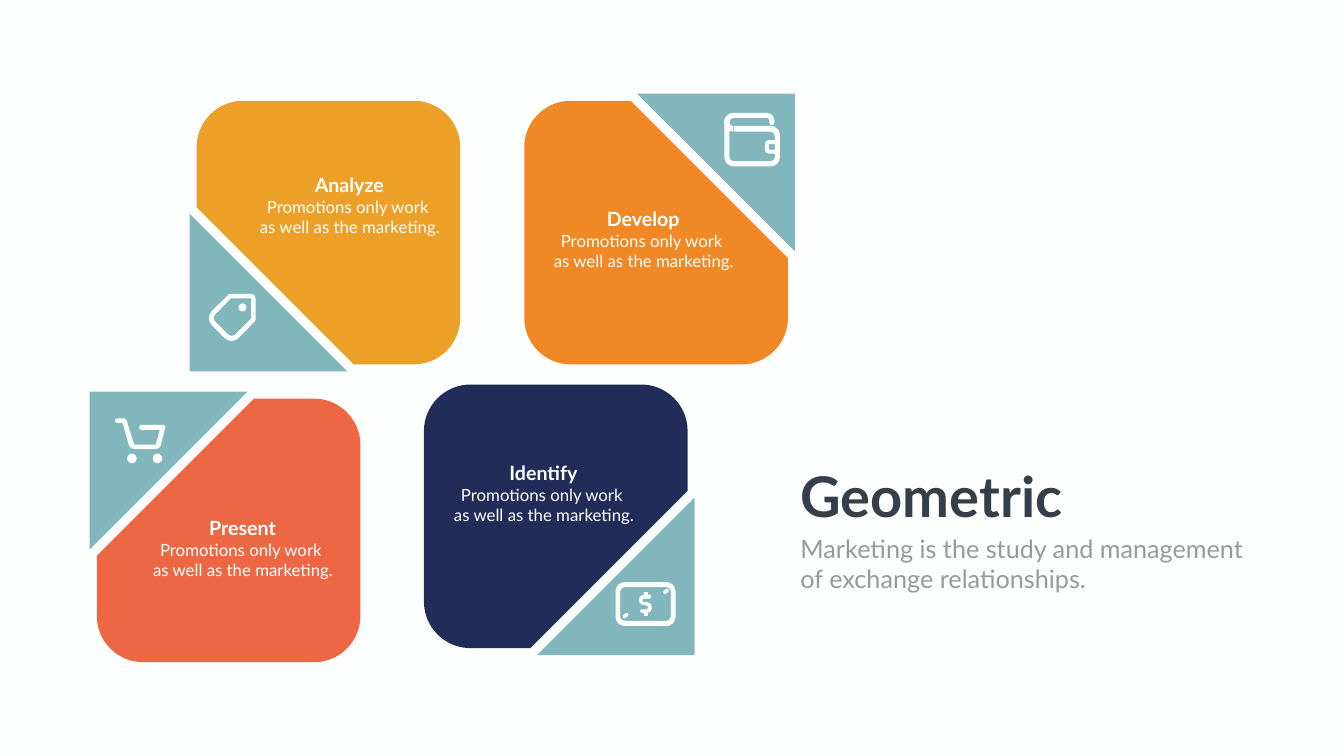
"""Build the Geometric slide: four cut tiles with corner icons, on a grid of 2666 by 1500 cells."""
from dataclasses import dataclass
from math import hypot

from lxml.etree import SubElement
from pptx import Presentation
from pptx.dml.color import RGBColor
from pptx.enum.shapes import MSO_SHAPE
from pptx.enum.text import MSO_AUTO_SIZE, PP_ALIGN
from pptx.oxml.ns import qn
from pptx.util import Inches, Pt

COLS, ROWS = 2666, 1500
CELL = Inches(0.01)
SIDE, RADIUS, CUT, LEG, OVERHANG = 523, 92, 312, 313, 14
BODY = ["Promotions only work ", "as well as the marketing."]


@dataclass(frozen=True)
class Theme:
    font: str = "Lato"
    paper: str = "FDFFFE"
    corner: str = "81B7BC"
    analyze: str = "EDA027"
    develop: str = "EF8825"
    present: str = "ED6744"
    identify: str = "212C58"
    heading: str = "353E49"
    muted: str = "989998"
    heading_size: int = 80
    lead_size: int = 36
    title_size: int = 28
    body_size: int = 24


THEME = Theme()

FLECK = [(93, 19, 2.5), (103, 12, 2.5), (107, 18, 2.5), (97, 25, 2.5)]


def box(x, y, w, h, r=0):
    """Return the contour of a rectangle with rounded corners."""
    return [(x, y, r), (x + w, y, r), (x + w, y + h, r), (x, y + h, r)]


def shifted(contour, dx, dy):
    """Return a contour moved by some columns and rows."""
    return [(x + dx, y + dy, r) for x, y, r in contour]


def toward(a, b, length):
    """Return the point that lies a length from a on the way to b, in EMU."""
    share = length / hypot(b[0] - a[0], b[1] - a[1])
    return tuple(round((a[i] + (b[i] - a[i]) * share) * CELL) for i in (0, 1))


def eased(contour):
    """Return for each corner its start, two handles and end, in EMU."""
    corners = []
    for i, corner in enumerate(contour):
        before, after, r = contour[i - 1], contour[(i + 1) % len(contour)], corner[2]
        corners.append((toward(corner, before, r), toward(corner, before, r * 0.45),
                        toward(corner, after, r * 0.45), toward(corner, after, r)))
    return corners


def extent(corners):
    """Return the starts, middles and ends of the corners, which span the outline."""
    return [point for a, c, d, b in corners
            for point in (a, tuple(round((a[i] + 3 * c[i] + 3 * d[i] + b[i]) / 8)
                                   for i in (0, 1)), b)]


def paint(sp, color):
    """Give a shape a plain fill without line or shadow."""
    sp.shadow.inherit = False
    sp.fill.solid()
    sp.fill.fore_color.rgb = RGBColor.from_string(color)
    sp.line.fill.background()


def add_outline(s, contours, color):
    """Add one freeform with curved corners; any contour after the first is a hole."""
    loops = [eased(contour) for contour in contours]
    points = extent(loops[0])
    builder = s.shapes.build_freeform(*points[0], scale=1.0)
    builder.add_line_segments(points[1:], close=True)
    sp = builder.convert_to_shape()
    figure = next(sp._element.iter(qn("a:path")))

    def draw(tag, *targets):
        segment = SubElement(figure, qn(tag))
        for x, y in targets:
            SubElement(segment, qn("a:pt"), x=str(x - sp.left), y=str(y - sp.top))

    for child in list(figure):
        figure.remove(child)
    for loop in loops:
        for i, (a, c, d, b) in enumerate(loop):
            draw("a:lnTo" if i else "a:moveTo", a)
            if a != b:
                draw("a:cubicBezTo", c, d, b)
        draw("a:close")
    paint(sp, color)


def add_preset(s, kind, x, y, w, h):
    """Add a light preset shape as a detail of an icon."""
    paint(s.shapes.add_shape(kind, *(round(v * CELL) for v in (x, y, w, h))), THEME.paper)


def add_text(s, x, y, w, h, lines, size, color, bold=False, align=PP_ALIGN.CENTER, wrap=True):
    """Add a text box with one paragraph a line."""
    tf = s.shapes.add_textbox(*(round(v * CELL) for v in (x, y, w, h))).text_frame
    tf.word_wrap = wrap
    tf.auto_size = MSO_AUTO_SIZE.SHAPE_TO_FIT_TEXT
    for i, line in enumerate(lines):
        p = tf.add_paragraph() if i else tf.paragraphs[0]
        p.alignment = align
        r = p.add_run()
        r.text = line
        r.font.name, r.font.size, r.font.bold = THEME.font, Pt(size), bold
        r.font.color.rgb = RGBColor.from_string(color)


def add_tile(s, x, y, right, bottom, color):
    """Add a rounded tile cut at one corner, and the triangle beside the cut."""
    def place(contour):
        return [(x + (SIDE - u if right else u), y + (SIDE - v if bottom else v), r)
                for u, v, r in contour]

    tile = [(CUT, 0, 0), (SIDE, 0, RADIUS), (SIDE, SIDE, RADIUS), (0, SIDE, RADIUS), (0, CUT, 0)]
    start, end = -OVERHANG, LEG - OVERHANG
    add_outline(s, [place(tile)], color)
    add_outline(s, [place([(start, start, 0), (end, start, 0), (start, end, 0)])], THEME.corner)


def add_caption(s, title, center, top):
    """Add a tile's title and the body under it."""
    add_text(s, center - 120, top, 240, 57, [title], THEME.title_size, THEME.paper, bold=True)
    add_text(s, center - 212, top + 47.3, 426, 91, BODY, THEME.body_size, THEME.paper)


def add_icon(s, x, y, outlines, details=()):
    """Add an icon from light outlines and preset details."""
    for contours in outlines:
        add_outline(s, [shifted(contour, x, y) for contour in contours], THEME.paper)
    for kind, dx, dy, w, h in details:
        add_preset(s, kind, x + dx, y + dy, w, h)


def add_cart(s, x, y):
    """Add the shopping cart."""
    frame = [(0, 0, 4.5), (22, 0, 4), (38, 52, 0), (81, 52, 0), (89, 23, 0), (48, 23, 5),
             (48, 13, 5), (101, 13, 5), (89, 61, 8), (30, 61, 8), (15, 9, 0), (0, 9, 4.5)]
    add_icon(s, x, y, [[frame]], [(MSO_SHAPE.OVAL, dx, 70, 19, 19) for dx in (24, 75)])


def add_tag(s, x, y):
    """Add the price tag."""
    rim = [(42, 0, 2), (94, 0, 9), (94, 53, 2), (46.5, 101.5, 19), (-7, 48, 20)]
    hole = [(45, 9, 0), (85, 9, 0), (85, 49, 0), (46.5, 87.5, 9), (7, 48, 8.5)]
    add_icon(s, x, y, [[rim, hole]], [(MSO_SHAPE.OVAL, 60, 19, 16, 16)])


def add_banknote(s, x, y):
    """Add the banknote with its dollar sign."""
    dollar = [(48, 61, 3.5), (48, 54, 3.5), (64, 54, 2), (64, 46, 2), (46, 46, 10), (46, 25, 10),
              (71, 25, 4), (71, 33, 4), (54, 33, 2), (54, 40, 2), (72, 40, 9), (72, 61, 9)]
    note = [box(0, 0, 119, 87, 18), box(9, 10, 101, 67, 9)]
    bars = [(MSO_SHAPE.RECTANGLE, 56, dy, 8, 8) for dy in (20, 59)]
    add_icon(s, x, y, [note, [dollar]], bars)
    add_icon(s, x, y, [[FLECK], [shifted(FLECK, -80, 48)]])


def add_wallet(s, x, y):
    """Add the wallet."""
    clasp = [box(80, 54, 28, 27, 8), box(88, 62, 13, 11)]
    body = [(0, 19, 0), (10, 19, 0), (10, 96, 8), (100, 96, 8), (100, 37, 9), (19, 37, 0),
            (19, 26, 0), (110, 26, 18), (110, 106, 18), (0, 106, 18)]
    flap = [(18, 37, 0), (-1, 37, 18), (-1, 0, 19), (99, 0, 15), (99, 24, 5), (89, 24, 5),
            (89, 10, 5), (10, 10, 8), (10, 27, 8), (18, 27, 0)]
    add_icon(s, x, y, [clasp, [body], [flap]])


def main():
    """Build and save the slide."""
    prs = Presentation()
    prs.slide_width, prs.slide_height = COLS * CELL, ROWS * CELL
    s = prs.slides.add_slide(prs.slide_layouts[6])
    s.background.fill.solid()
    s.background.fill.fore_color.rgb = RGBColor.from_string(THEME.paper)

    for tile in [(192, 791, False, False, THEME.present), (390, 200, False, True, THEME.analyze),
                 (841, 763, True, True, THEME.identify), (1040, 200, True, False, THEME.develop)]:
        add_tile(s, *tile)
    for icon, x, y in [(add_cart, 228, 830), (add_tag, 413, 583),
                       (add_banknote, 1221, 1155), (add_wallet, 1437, 224)]:
        icon(s, x, y)
    for caption in [("Analyze", 693, 337.4), ("Develop", 1276, 406),
                    ("Identify", 1078, 910), ("Present", 481, 1018)]:
        add_caption(s, *caption)

    add_text(s, 1578, 911, 549, 145, ["Geometric"], THEME.heading_size, THEME.heading,
             bold=True, align=PP_ALIGN.LEFT, wrap=False)
    add_text(s, 1578, 1053, 974, 131,
             ["Marketing is the study and management", "of exchange relationships."],
             THEME.lead_size, THEME.muted, align=PP_ALIGN.LEFT)
    prs.save("out.pptx")


if __name__ == "__main__":
    main()
